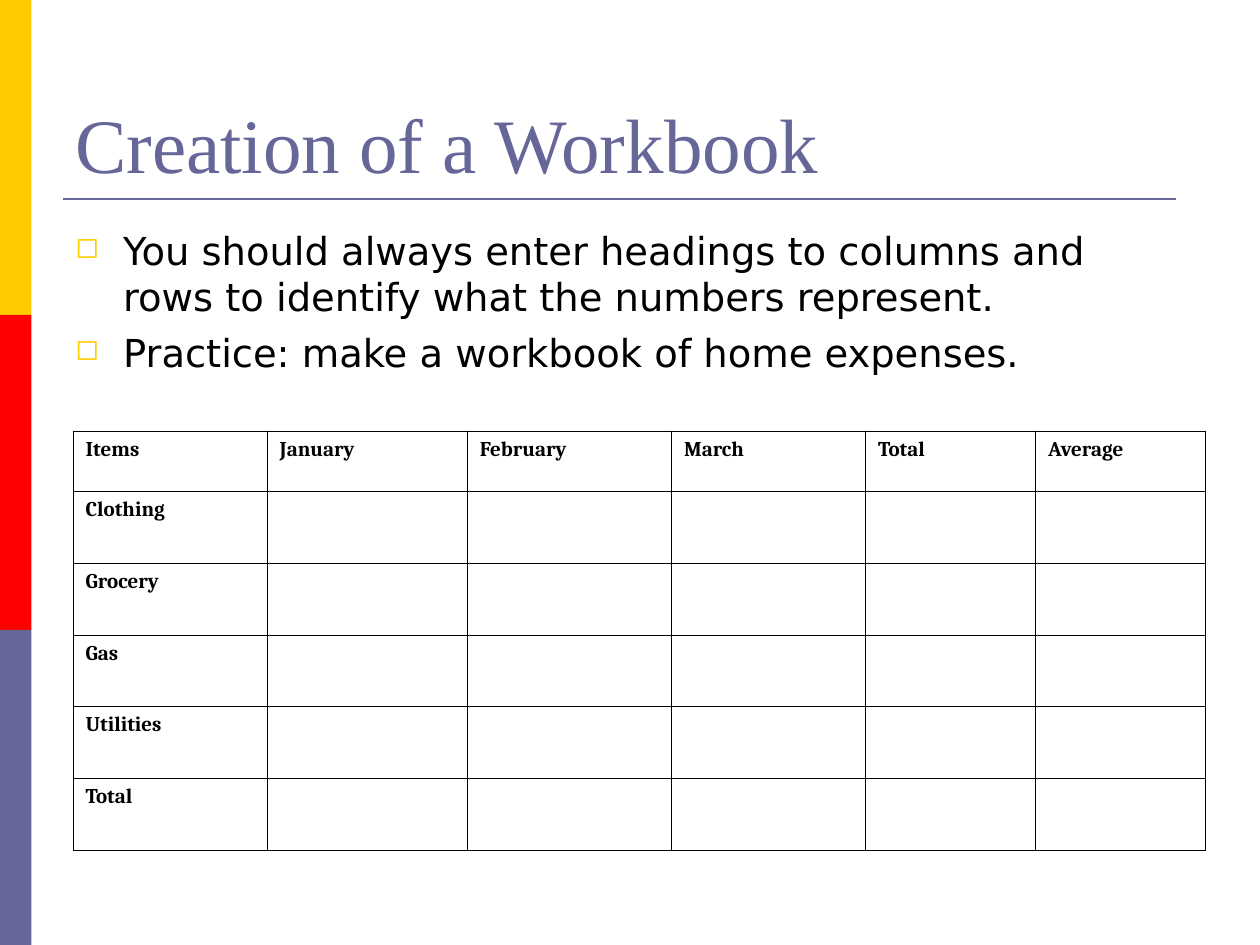
"""Build a slide on creating a workbook, with a home expenses table."""
from lxml import etree
from pptx import Presentation
from pptx.dml.color import RGBColor
from pptx.enum.shapes import MSO_CONNECTOR, MSO_SHAPE
from pptx.enum.text import MSO_ANCHOR
from pptx.oxml.ns import qn
from pptx.util import Inches, Pt

RECTANGLE = MSO_SHAPE.RECTANGLE
STRAIGHT = MSO_CONNECTOR.STRAIGHT
BOTTOM = MSO_ANCHOR.BOTTOM
YELLOW = RGBColor(0xFF, 0xCC, 0x00)
RED = RGBColor(0xFF, 0x00, 0x00)
PURPLE = RGBColor(0x66, 0x66, 0x99)
BLACK = RGBColor(0x00, 0x00, 0x00)

HEADINGS = ["Items", "January", "February", "March", "Total", "Average"]
ITEMS = ["Clothing", "Grocery", "Gas", "Utilities", "Total"]
COLUMN_WIDTHS = [1.54, 1.59, 1.62, 1.54, 1.35, 1.35]
ROW_HEIGHTS = [0.48] + [0.57] * len(ITEMS)
BULLETS = [
    "You should always enter headings to columns and rows to identify what the numbers represent.",
    "Practice: make a workbook of home expenses.",
]


def add_element(parent, tag, **attributes):
    element = etree.SubElement(parent, qn(tag))
    for name, value in attributes.items():
        element.set(name, str(value))
    return element


def style_font(font, name, size, color, bold=False):
    font.name = name
    font.size = Pt(size)
    font.color.rgb = color
    font.bold = bold


presentation = Presentation()
presentation.slide_width = Inches(10)
presentation.slide_height = Inches(7.5)
slide = presentation.slides.add_slide(presentation.slide_layouts[6])
shapes = slide.shapes

band_width = presentation.slide_width // 40
band_height = presentation.slide_height // 3
for index, color in enumerate([YELLOW, RED, PURPLE]):
    band = shapes.add_shape(RECTANGLE, 0, index * band_height, band_width, band_height)
    band.shadow.inherit = False
    band.fill.solid()
    band.fill.fore_color.rgb = color
    band.line.fill.background()

rule = shapes.add_connector(STRAIGHT, Inches(0.5), Inches(1.58), Inches(9.33), Inches(1.58))
rule.line.color.rgb = PURPLE
rule.line.width = Pt(1.5)
add_element(rule._element.spPr, "a:effectLst")

title = shapes.add_textbox(Inches(0.5), Inches(0.3), Inches(9), Inches(1.25))
title.text_frame.word_wrap = True
title.text_frame.vertical_anchor = BOTTOM
title.text_frame.text = "Creation of a Workbook"
style_font(title.text_frame.paragraphs[0].runs[0].font, "Times New Roman", 44, PURPLE)

body = shapes.add_textbox(Inches(0.5), Inches(1.75), Inches(9), Inches(1.42))
body.text_frame.word_wrap = True
body.text_frame.text = "\n".join(BULLETS)
for index, paragraph in enumerate(body.text_frame.paragraphs):
    properties = paragraph._p.get_or_add_pPr()
    properties.set("marL", str(Inches(0.38)))
    properties.set("indent", str(-Inches(0.38)))
    bullet_color = add_element(properties, "a:buClr")
    add_element(bullet_color, "a:srgbClr", val=YELLOW)
    add_element(properties, "a:buSzPct", val=75000)
    add_element(properties, "a:buChar", char="◻")
    if index:
        paragraph.space_before = Pt(5.5)
    style_font(paragraph.runs[0].font, "DejaVu Sans", 22, BLACK)

table = shapes.add_table(
    len(ROW_HEIGHTS), len(COLUMN_WIDTHS), Inches(0.58), Inches(3.42),
    Inches(sum(COLUMN_WIDTHS)), Inches(sum(ROW_HEIGHTS)),
).table
table.first_row = False
table.horz_banding = False
for column, width in zip(table.columns, COLUMN_WIDTHS):
    column.width = Inches(width)
for row, height in zip(table.rows, ROW_HEIGHTS):
    row.height = Inches(height)

for column_index, heading in enumerate(HEADINGS):
    table.cell(0, column_index).text = heading
for row_index, item in enumerate(ITEMS, start=1):
    table.cell(row_index, 0).text = item

for cell in table.iter_cells():
    properties = cell._tc.get_or_add_tcPr()
    for side in ["a:lnL", "a:lnR", "a:lnT", "a:lnB"]:
        border = add_element(properties, side, w=Pt(0.45))
        border_fill = add_element(border, "a:solidFill")
        add_element(border_fill, "a:srgbClr", val=BLACK)
    cell.fill.background()
    paragraph = cell.text_frame.paragraphs[0]
    style_font(paragraph.font, "Cambria", 12, BLACK, bold=True)
    for run in paragraph.runs:
        style_font(run.font, "Cambria", 12, BLACK, bold=True)

presentation.save("out.pptx")
